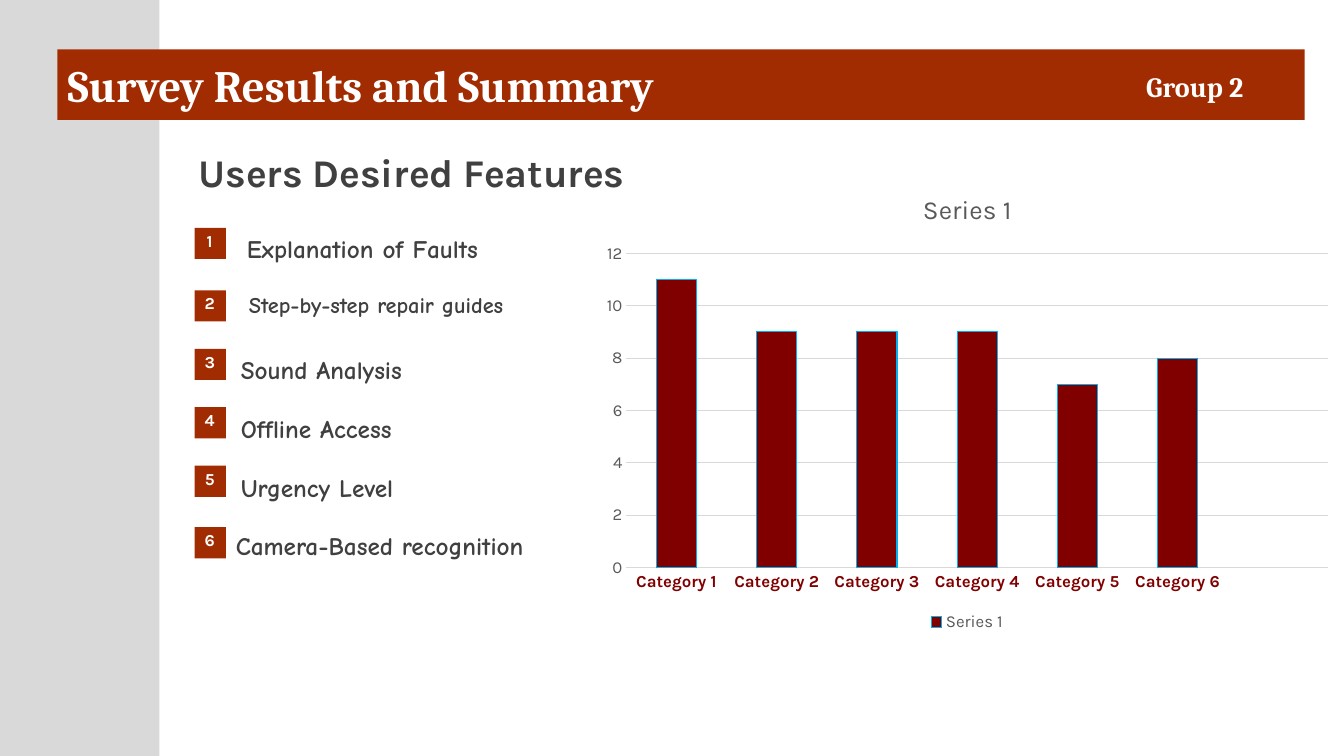
from pptx import Presentation
from pptx.chart.data import CategoryChartData
from pptx.dml.color import RGBColor
from pptx.enum.chart import XL_CHART_TYPE, XL_LEGEND_POSITION, XL_TICK_MARK
from pptx.enum.shapes import MSO_SHAPE
from pptx.enum.text import MSO_ANCHOR, MSO_AUTO_SIZE, PP_ALIGN
from pptx.util import Inches, Pt

RECT = MSO_SHAPE.RECTANGLE
STACK = XL_CHART_TYPE.COLUMN_STACKED
BOTTOM = XL_LEGEND_POSITION.BOTTOM
NO_TICK = XL_TICK_MARK.NONE
MID, LOW, TOP = MSO_ANCHOR.MIDDLE, MSO_ANCHOR.BOTTOM, MSO_ANCHOR.TOP
LEFT, CENTER = PP_ALIGN.LEFT, PP_ALIGN.CENTER
FIXED = MSO_AUTO_SIZE.NONE

WIDE, HIGH = 13.33, 7.5
RUST, GREY, DARK, WHITE = "A22C01", "D9D9D9", "404040", "FFFFFF"
WINE, SKY, SOFT = "800000", "00B0F0", "595959"
SERIF, SANS, COMIC = "Cambria", "Karla", "Comic Neue"

TITLE = "Survey Results and Summary"
GROUP = " Group 2"
HEAD = "Users Desired Features"
# label, size, badge top, label left, label top
FEATURES = [
    ("Explanation of Faults", 18, 2.26, 2.35, 2.24),
    ("Step-by-step repair guides", 16, 2.88, 2.37, 2.82),
    ("Sound Analysis", 18, 3.46, 2.29, 3.44),
    ("Offline Access", 18, 4.04, 2.29, 4.03),
    ("Urgency Level", 18, 4.62, 2.29, 4.61),
    ("Camera-Based recognition", 18, 5.23, 2.24, 5.19),
]
BADGE_X, BADGE = 1.93, 0.31
SERIES = "Series 1"
VOTES = [11, 9, 9, 9, 7, 8]


def color(code):
    return RGBColor.from_string(code)


def style(font, size, code, face, bold=False):
    font.size, font.name, font.bold = Pt(size), face, bold
    font.color.rgb = color(code)


def write(shape, text, size, code, face, align=LEFT, anchor=TOP, lead=None):
    frame = shape.text_frame
    frame.word_wrap, frame.auto_size = True, FIXED
    frame.vertical_anchor = anchor
    para = frame.paragraphs[0]
    para.alignment = align
    if lead:
        para.line_spacing = lead
    run = para.add_run()
    run.text = text
    style(run.font, size, code, face, True)


def block(shapes, box, code):
    shape = shapes.add_shape(RECT, *map(Inches, box))
    shape.shadow.inherit = False
    shape.fill.solid()
    shape.fill.fore_color.rgb = color(code)
    shape.line.fill.background()
    return shape


def label(shapes, box, *args, **more):
    write(shapes.add_textbox(*map(Inches, box)), *args, **more)


def banner(slide):
    side = block(slide.shapes, (0, 0, 1.58, HIGH), GREY)
    slide.shapes._spTree.insert(2, side._element)
    title = slide.shapes.title
    title.left, title.top, title.width, title.height = map(
        Inches, (0.57, 0.49, 12.37, 0.7))
    title.fill.solid()
    title.fill.fore_color.rgb = color(RUST)
    write(title, TITLE, 32, WHITE, SERIF, anchor=MID)
    tag = block(slide.shapes, (10.79, 0.56, 2.06, 0.56), RUST)
    write(tag, GROUP, 20, WHITE, SERIF, CENTER, LOW)
    tag.text_frame.margin_bottom = Inches(0.1)


def features(slide):
    label(slide.shapes, (1.87, 1.39, 6.33, 0.67), HEAD, 28, DARK, SANS, lead=1.08)
    for num, (text, size, top, left, high) in enumerate(FEATURES, 1):
        parts = slide.shapes.add_group_shape().shapes
        block(parts, (BADGE_X, top, BADGE, BADGE), RUST)
        label(parts, (BADGE_X - 0.06, top - 0.02, 0.42, 0.3),
              str(num), 12, WHITE, SANS, CENTER)
        label(slide.shapes, (left, high, 5.2, 0.41),
              text, size, DARK, COMIC, lead=1.08)


def survey(slide):
    data = CategoryChartData()
    data.categories = [f"Category {n}" for n in range(1, len(VOTES) + 1)] + [""]
    data.add_series(SERIES, VOTES + [None])
    box = map(Inches, (5.87, 1.72, 7.45, 4.59))
    chart = slide.shapes.add_chart(STACK, *box, data).chart
    style(chart.font, 10, "000000", SANS)
    chart.has_title = True
    run = chart.chart_title.text_frame.paragraphs[0].add_run()
    run.text = SERIES
    style(run.font, 18.6, SOFT, SANS)
    chart.chart_title.include_in_layout = False
    chart.has_legend = True
    chart.legend.position = BOTTOM
    chart.legend.include_in_layout = False
    style(chart.legend.font, 12, SOFT, SANS)
    cats, vals = chart.category_axis, chart.value_axis
    for axis, code, bold in ((cats, WINE, True), (vals, SOFT, False)):
        style(axis.tick_labels.font, 12, code, SANS, bold)
        axis.major_tick_mark = axis.minor_tick_mark = NO_TICK
        axis.format.line.fill.background()
    vals.minimum_scale, vals.maximum_scale, vals.major_unit = 0, 12, 2
    grid = vals.major_gridlines.format.line
    grid.color.rgb, grid.width = color(GREY), Pt(0.75)
    plot = chart.plots[0]
    plot.gap_width, plot.overlap, plot.vary_by_categories = 150, 100, False
    bars = plot.series[0].format
    bars.fill.solid()
    bars.fill.fore_color.rgb = color(WINE)
    bars.line.color.rgb, bars.line.width = color(SKY), Pt(0.75)


def main():
    """Build the survey results slide."""
    deck = Presentation()
    deck.slide_width, deck.slide_height = Inches(WIDE), Inches(HIGH)
    slide = deck.slides.add_slide(deck.slide_layouts[5])
    banner(slide)
    features(slide)
    survey(slide)
    deck.save("out.pptx")


if __name__ == "__main__":
    main()
